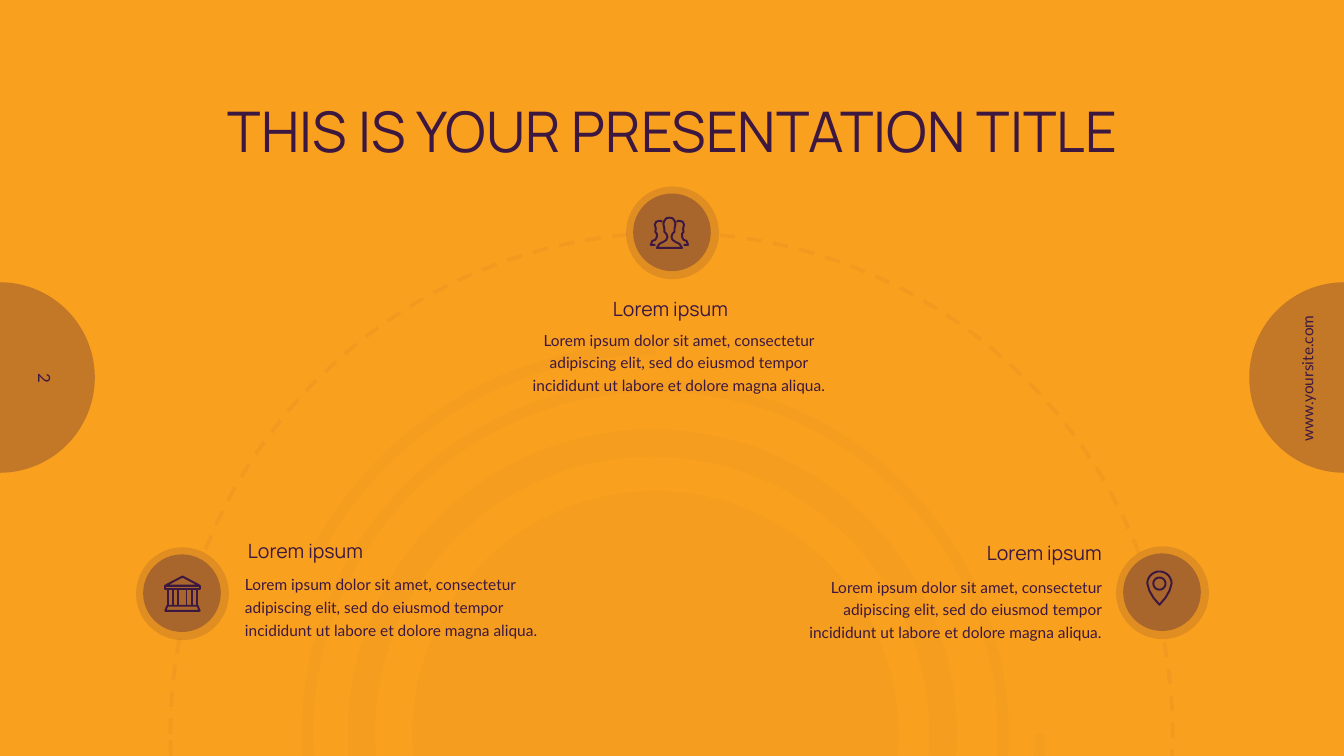
import math

from pptx import Presentation
from pptx import util as u
from pptx.dml import color
from pptx.enum import dml, shapes, text
from pptx.oxml import ns, xmlchemy

PLUM, BROWN, COPPER, ORANGE = "3C1740", "A8652C", "C37827", "F9A01E"
LOREM = ("Lorem ipsum dolor sit amet, consectetur adipiscing elit, sed do "
         "eiusmod tempor incididunt ut labore et dolore magna aliqua.")
PLAIN_FRAME = {"word_wrap": True, "auto_size": text.MSO_AUTO_SIZE.NONE,
               "margin_left": 0, "margin_right": 0, "margin_top": 0, "margin_bottom": 0}


def apply(target, formats):
    for name, value in formats.items():
        setattr(target, name, value)


def paint(part, hex_color):
    if hasattr(part, "solid"):
        part.solid()
        part = part.fore_color
    elif hasattr(part, "color"):
        part = part.color
    part.rgb = color.RGBColor.from_string(hex_color)


def fade(shape, percent):
    for tone in shape._element.spPr.iter(ns.qn("a:srgbClr")):
        alpha = xmlchemy.OxmlElement("a:alpha")
        alpha.set("val", str(percent * 1000))
        tone.append(alpha)


def add_round(slide, box, fill=None, opacity=100, kind=shapes.MSO_SHAPE.OVAL):
    disc = slide.shapes.add_shape(kind, *map(u.Inches, box))
    disc.shadow.inherit = False
    disc.line.fill.background()
    if fill:
        paint(disc.fill, fill)
        if opacity < 100:
            fade(disc, opacity)
    else:
        disc.fill.background()
    return disc


def add_outline(slide, contours, origin=(0, 0)):
    points = [[(u.Inches(x), u.Inches(y)) for x, y in contour] for contour, _ in contours]
    builder = slide.shapes.build_freeform(*points[0][0])
    for index, (contour, (_, closed)) in enumerate(zip(points, contours)):
        if index:
            builder.move_to(*contour[0])
        builder.add_line_segments(contour[1:], close=closed)
    outline = builder.convert_to_shape(*map(u.Inches, origin))
    outline.shadow.inherit = False
    return outline


def write(frame, words, size, font, align, frame_formats, **paragraph_formats):
    apply(frame, frame_formats)
    paragraph = frame.paragraphs[0]
    apply(paragraph, {"alignment": align, **paragraph_formats})
    run = paragraph.add_run()
    run.text = words
    apply(run.font, {"size": u.Pt(size), "name": font})
    paint(run.font, PLUM)


def add_words(slide, box, *args, rotation=0, frame_formats=PLAIN_FRAME, **paragraph_formats):
    label = slide.shapes.add_textbox(*map(u.Inches, box))
    label.rotation = rotation
    write(label.text_frame, *args, frame_formats, **paragraph_formats)


def circle_points(radius, start=0, end=360, steps=48, center=(0, 0)):
    angles = [math.radians(start + (end - start) * i / steps) for i in range(steps + 1)]
    return [(center[0] + radius * math.cos(a), center[1] + radius * math.sin(a)) for a in angles]


def mirrored(points):
    return [(-x, y) for x, y in points]


def hundredths(*points):
    return [(x / 100, y / 100) for x, y in points]


def bank_icon():
    columns = [(hundredths((x, -5), (x, 12)), False) for x in (-14, -9, -4, 4, 9, 14)]
    return [(hundredths((-17, -8), (0, -17), (17, -8)), True),
            (hundredths((-17, -8), (17, -8), (17, -5), (-17, -5)), True),
            (hundredths((-15, 12), (15, 12), (17, 17), (-17, 17)), True), *columns]


def people_icon():
    leader = hundredths((0, -15), (3, -14.5), (5, -12), (6, -9), (5, -4), (5, -1), (3, 1),
                        (2, 4), (3, 7), (6, 9), (10, 11), (12.5, 15))
    companion = hundredths((7, -11), (9.5, -12), (13, -11), (14.5, -8), (13.5, -4), (14, -1),
                           (12.5, 1), (12.5, 4), (14, 7), (17, 8), (18.5, 12), (14, 12))
    return [(leader + mirrored(leader)[::-1], True),
            (companion, False), (mirrored(companion), False)]


def pin_icon():
    tip = hundredths((10, 2), (6, 9), (0, 16), (-6, 9), (-10, 2))
    return [(circle_points(0.12, 180, 360, center=(0, -0.05)) + tip, True),
            (circle_points(0.06, center=(0, -0.05)), True)]


def add_backdrop(slide, center):
    x, y = center
    rings = [(4.82, 0.03, 0), (6.04, 0, 0.27), (7.01, 0.03, 0.11)]
    for size, shift, thickness in rings:
        kind = shapes.MSO_SHAPE.DONUT if thickness else shapes.MSO_SHAPE.OVAL
        box = (x - size / 2 + shift, y - size / 2, size, size)
        ring = add_round(slide, box, PLUM, 2, kind)
        if thickness:
            ring.adjustments[0] = thickness / size
    for start, end in ((209, 270), (0, 90)):
        band = circle_points(3.87, start, end) + circle_points(3.76, end, start)
        sweep = add_outline(slide, [(band, True)], (x + 0.03, y))
        paint(sweep.fill, PLUM)
        sweep.line.fill.background()
        fade(sweep, 2)


def add_orbit(slide, box):
    orbit = add_round(slide, box)
    paint(orbit.line, PLUM)
    apply(orbit.line, {"width": u.Pt(2.75), "dash_style": dml.MSO_LINE.DASH})
    fade(orbit, 4)


def add_side_tab(slide, box, words, size, label_box, rotation, wrap):
    add_round(slide, box, COPPER)
    left, top, width, height = label_box
    add_words(slide, (box[0] + left, box[1] + top, width, height), words, size, "Lato",
              text.PP_ALIGN.CENTER, rotation=rotation,
              frame_formats={"word_wrap": wrap, "vertical_anchor": text.MSO_ANCHOR.MIDDLE})


def add_title(slide, box, words):
    title = slide.shapes.title
    apply(title, dict(zip(("left", "top", "width", "height"), map(u.Inches, box))))
    write(title.text_frame, words, 40, "Manrope", text.PP_ALIGN.CENTER,
          {**PLAIN_FRAME, "vertical_anchor": text.MSO_ANCHOR.TOP}, line_spacing=1.2)


def add_feature(slide, hub, icon, icon_shift, heading_shift, body_shift, align):
    x, y = hub
    add_words(slide, (x + body_shift[0], y + body_shift[1], 3.05, 0.65), LOREM, 11, "Lato",
              align, line_spacing=u.Pt(16.1))
    add_words(slide, (x + heading_shift[0], y + heading_shift[1], 3, 0.24), "Lorem ipsum", 14,
              "Manrope", align)
    add_round(slide, (x, y, 0.92, 0.92), BROWN, 30)
    add_round(slide, (x + 0.07, y + 0.07, 0.77, 0.77), BROWN)
    glyph = add_outline(slide, icon, (x + 0.46 + icon_shift[0], y + 0.46 + icon_shift[1]))
    glyph.fill.background()
    paint(glyph.line, PLUM)
    glyph.line.width = u.Pt(1.4)


def main():
    deck = Presentation()
    apply(deck, {"slide_width": u.Inches(13.33), "slide_height": u.Inches(7.5)})
    slide = deck.slides.add_slide(deck.slide_layouts[5])
    paint(slide.background.fill, ORANGE)
    add_side_tab(slide, (-0.95, 2.8, 1.89, 1.89), "2", 12, (0.92, 0.51, 0.95, 0.89), 90, True)
    add_side_tab(slide, (12.39, 2.8, 1.89, 1.89), "www.yoursite.com", 11,
                 (-0.16, 0.81, 1.47, 0.29), 270, False)
    add_backdrop(slide, (6.47, 7.28))
    add_orbit(slide, (1.69, 2.31, 9.94, 9.94))
    add_title(slide, (0.84, 0.82, 11.66, 0.74), "THIS IS YOUR PRESENTATION TITLE")
    align = text.PP_ALIGN
    add_feature(slide, (1.35, 5.43), bank_icon(), (0, 0), (1.11, -0.08), (1.08, 0.24), align.LEFT)
    add_feature(slide, (6.21, 1.85), people_icon(), (-0.03, 0), (-1.06, 1.1), (-1, 1.39),
                align.CENTER)
    add_feature(slide, (11.07, 5.42), pin_icon(), (-0.03, -0.04), (-3.14, -0.05), (-3.19, 0.27),
                align.RIGHT)
    deck.save("out.pptx")


if __name__ == "__main__":
    main()
